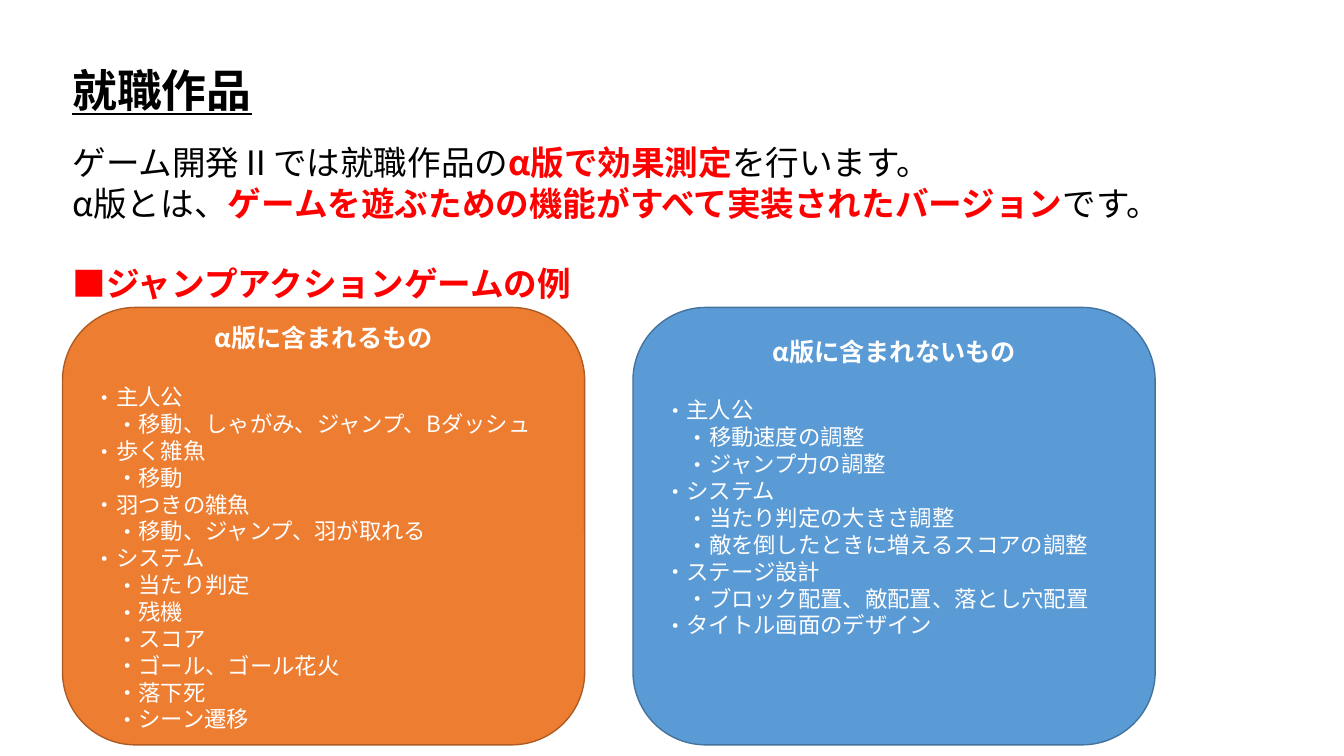
from dataclasses import dataclass

from lxml.etree import SubElement
from pptx import Presentation
from pptx.dml.color import RGBColor as Rgb
from pptx.enum.shapes import MSO_SHAPE as Shape
from pptx.enum.text import MSO_ANCHOR as Anchor, PP_ALIGN as Align
from pptx.oxml.ns import qn
from pptx.util import Pt


@dataclass(frozen=True)
class Theme:
    font: str = "Noto Sans CJK JP"
    ink: str = "000000"
    accent: str = "FF0000"
    white: str = "FFFFFF"
    orange: str = "ED7D31"
    orange_edge: str = "AF5C24"
    blue: str = "5B9BD5"
    blue_edge: str = "43739E"
    title: int = 32
    body: int = 24
    heading: int = 18
    item: int = 16
    leading: float = 1.2


theme = Theme()


def write(paragraph, text, *, size, color, bold=False, underline=False):
    paragraph.line_spacing = Pt(size * theme.leading)
    run = paragraph.add_run()
    run.text = text
    font = run.font
    font.name, font.size = theme.font, Pt(size)
    font.bold, font.underline = bold, underline
    font.color.rgb = Rgb.from_string(color)
    SubElement(font._element, qn("a:ea"), typeface=theme.font)


def add_bullet(paragraph, level):
    properties = paragraph._p.get_or_add_pPr()
    properties.set("marL", str(Pt(theme.item * (level + 1))))
    properties.set("indent", str(-Pt(theme.item)))
    SubElement(properties, qn("a:buFont"), typeface=theme.font)
    SubElement(properties, qn("a:buChar"), char="・")


deck = Presentation()
deck.slide_width, deck.slide_height = Pt(960), Pt(540)
slide = deck.slides.add_slide(deck.slide_layouts[6])
left_edge = 44.64

title = slide.shapes.add_textbox(Pt(left_edge), Pt(38.9), Pt(144), Pt(46)).text_frame
title.word_wrap = False
title.margin_top = Pt(6)
write(title.paragraphs[0], "就職作品", size=theme.title, color=theme.ink,
      bold=True, underline=True)

intro_lines = [
    [("ゲーム開発Ⅱでは就職作品の", False), ("α版で効果測定", True), ("を行います。", False)],
    [("α版とは、", False),
     ("ゲームを遊ぶための機能がすべて実装されたバージョン", True), ("です。", False)],
    [("■ジャンプアクションゲームの例", True)],
]
intro = slide.shapes.add_textbox(Pt(left_edge), Pt(95.8), Pt(814.3), Pt(123.8)).text_frame
intro.word_wrap = True
intro.margin_top = Pt(5.8)
for number, parts in enumerate(intro_lines):
    line = intro.add_paragraph() if number else intro.paragraphs[0]
    for text, stressed in parts:
        write(line, text, size=theme.body, bold=stressed,
              color=theme.accent if stressed else theme.ink)
line.space_before = Pt(theme.body * theme.leading)

panels = [
    ("α版に含まれるもの", theme.orange, theme.orange_edge, 3.6, [
        ("主人公", ["移動、しゃがみ、ジャンプ、Bダッシュ"]),
        ("歩く雑魚", ["移動"]),
        ("羽つきの雑魚", ["移動、ジャンプ、羽が取れる"]),
        ("システム", ["当たり判定", "残機", "スコア", "ゴール、ゴール花火",
                  "落下死", "シーン遷移"]),
    ]),
    ("α版に含まれないもの", theme.blue, theme.blue_edge, 61.2, [
        ("主人公", ["移動速度の調整", "ジャンプ力の調整"]),
        ("システム", ["当たり判定の大きさ調整", "敵を倒したときに増えるスコアの調整"]),
        ("ステージ設計", ["ブロック配置、敵配置、落とし穴配置"]),
        ("タイトル画面のデザイン", []),
    ]),
]
panel_step = 407.5
for column, (heading, fill, edge, bottom_margin, groups) in enumerate(panels):
    panel = slide.shapes.add_shape(Shape.ROUNDED_RECTANGLE,
                                   Pt(left_edge + column * panel_step), Pt(219.6),
                                   Pt(373), Pt(312.5))
    panel.shadow.inherit = False
    panel.fill.solid()
    panel.fill.fore_color.rgb = Rgb.from_string(fill)
    panel.line.color.rgb = Rgb.from_string(edge)
    panel.line.width = Pt(1)

    content = panel.text_frame
    content.word_wrap = True
    content.vertical_anchor = Anchor.MIDDLE
    content.margin_top, content.margin_bottom = Pt(5.6), Pt(bottom_margin)
    caption = content.paragraphs[0]
    caption.alignment = Align.CENTER
    caption.space_after = Pt(theme.heading * theme.leading)
    write(caption, heading, size=theme.heading, color=theme.white, bold=True)

    for topic, details in groups:
        for level, text in [(0, topic)] + [(1, detail) for detail in details]:
            item = content.add_paragraph()
            item.alignment = Align.LEFT
            add_bullet(item, level)
            write(item, text, size=theme.item, color=theme.white)

deck.save("out.pptx")
